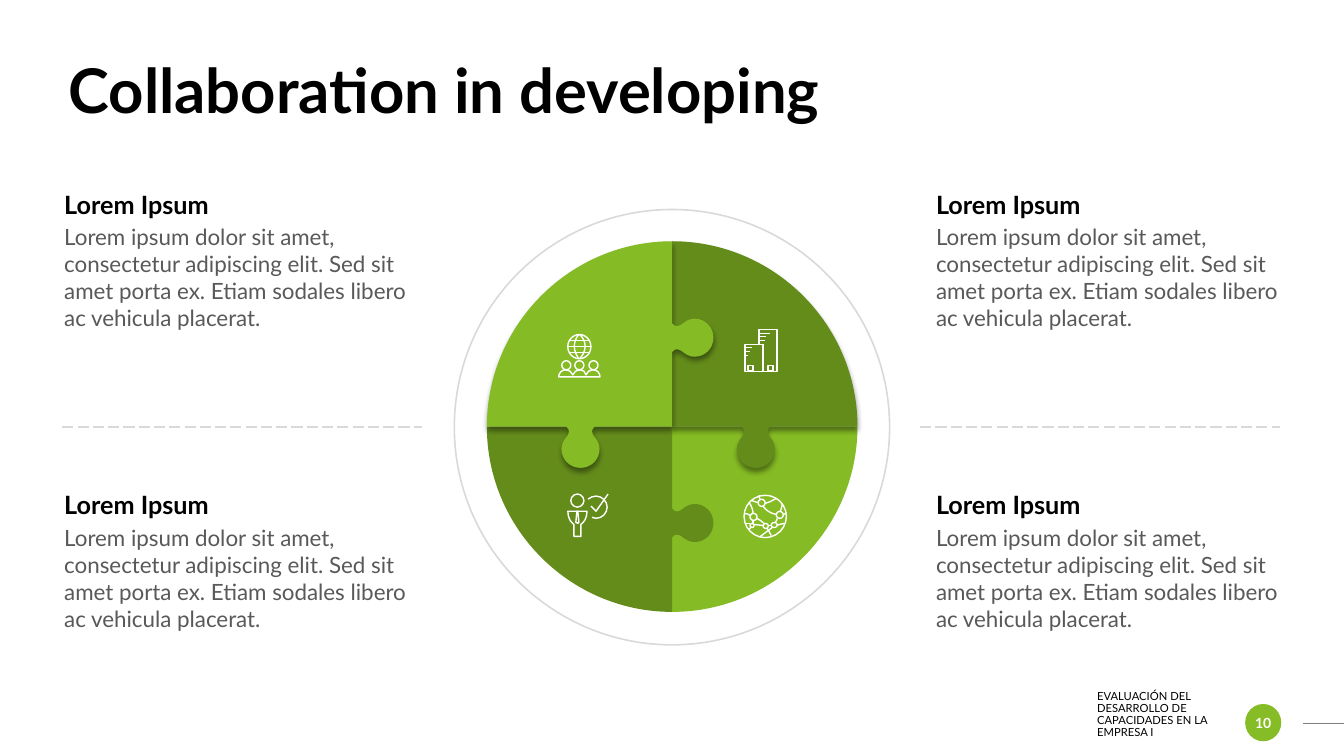
from dataclasses import dataclass
from itertools import product

from lxml.etree import SubElement
from pptx import Presentation
from pptx.dml.color import RGBColor as Rgb
from pptx.enum.dml import MSO_LINE as Dash
from pptx.enum.shapes import MSO_CONNECTOR as Wire, MSO_SHAPE as Kind
from pptx.enum.text import MSO_ANCHOR as Anchor, PP_ALIGN as Align
from pptx.oxml.ns import qn
from pptx.util import Cm, Pt


@dataclass(frozen=True)
class Theme:
    font: str = "Lato"
    ink: str = "000000"
    gray: str = "595959"
    rule: str = "D9D9D9"
    edge: str = "808080"
    white: str = "FFFFFF"
    badge: str = "86BC25"
    lime: str = "85BB24"
    moss: str = "648C1B"
    title: int = 44
    head: int = 18
    body: int = 16
    page: int = 10
    foot: int = 8


THEME = Theme()
HUB = (16.94, 10.75)
RADIUS = 4.67
HEAD = "Lorem Ipsum"
BODY = ("Lorem ipsum dolor sit amet, consectetur adipiscing elit. "
        "Sed sit amet porta ex. Etiam sodales libero ac vehicula placerat.")

# First half of a puzzle knob: along the edge, away from the edge
KNOB = [(-.36, 0), (-.25, .08), (-.3, .18), (-.33, .23), (-.41, .33),
        (-.48, .43), (-.48, .56), (-.48, .83), (-.27, 1.04), (0, 1.04)]

# Icon parts are in hundredths of an inch from the corner given in Cm
PEOPLE = dict(
    at=(14.08, 8.43),
    ovals=[(9, 0, 23, 24), (3, 26, 9, 9), (16, 26, 9, 9), (30, 26, 9, 9)],
    lines=[(11, 18, 31, 18), (11, 6, 31, 6), (9, 12, 32, 12)],
    curves=[
        [(20, 0), (14, 7), (14, 16), (20, 24)],
        [(21, 0), (28, 7), (28, 16), (21, 24)],
        [(34, 35), (31, 35), (28, 37), (27, 40), (27, 37), (24, 35), (21, 35),
         (18, 35), (15, 37), (14, 40), (13, 37), (10, 35), (7, 35),
         (3, 35), (0, 38), (0, 42), (0, 42), (41, 42), (41, 42),
         (41, 38), (38, 35), (34, 35)]])
PERSON = dict(
    at=(14.31, 12.45),
    ovals=[(3, 0, 13, 13)],
    polys=[[(10, 17), (9, 17), (8, 28), (10, 29), (11, 28), (10, 17)],
           [(40, 0), (28, 17), (23, 12)]],
    curves=[
        [(19, 17), (19, 17), (0, 17), (0, 17), (0, 24), (3, 28), (6, 30),
         (6, 30), (6, 42), (6, 42), (6, 42), (13, 42), (13, 42),
         (13, 42), (13, 30), (13, 30), (16, 28), (19, 24), (19, 17)],
        [(20, 5), (23, 3), (25, 2), (28, 2), (34, 2), (39, 7), (39, 13),
         (39, 19), (34, 24), (28, 24), (26, 24), (25, 23), (24, 23)]])
NETWORK = dict(
    at=(18.75, 12.48),
    ovals=[(0, 0, 42, 42), (14, 4, 7, 7), (6, 18, 7, 7), (6, 28, 4, 4),
           (19, 28, 5, 5), (27, 27, 6, 5), (32, 16, 7, 7)],
    lines=[(24, 30, 27, 30), (2, 28, 6, 28), (10, 29, 19, 30)],
    curves=[
        [(16, 4), (15, 3), (15, 2), (15, 0)],
        [(32, 19), (26, 18), (22, 15), (19, 11)],
        [(42, 18), (41, 19), (40, 19), (39, 19)],
        [(28, 32), (24, 35), (20, 38), (16, 41)],
        [(33, 23), (33, 24), (32, 26), (31, 27)],
        [(38, 8), (38, 11), (37, 13), (36, 16)],
        [(40, 28), (38, 28), (35, 29), (32, 30)],
        [(14, 7), (13, 7), (9, 6), (7, 5)],
        [(32, 3), (29, 5), (25, 7), (21, 8)],
        [(23, 33), (24, 35), (26, 37), (27, 40)],
        [(13, 23), (15, 24), (18, 26), (20, 28)],
        [(0, 18), (3, 18), (5, 19), (6, 20)],
        [(7, 31), (7, 32), (6, 33), (5, 34)],
        [(9, 25), (9, 26), (9, 27), (9, 28)],
        [(5, 7), (7, 10), (9, 14), (9, 18)]])
TOWERS = dict(
    at=(18.77, 8.3),
    rects=[(0, 15, 18, 27), (23, 36, 5, 5), (3, 36, 5, 5)],
    polys=[[(32, 42), (18, 42), (18, 15), (14, 15), (14, 0), (32, 0),
            (32, 42)]],
    lines=[(0, 18, 7, 18), (0, 22, 5, 22), (14, 7, 21, 7), (14, 4, 25, 4),
           (14, 11, 20, 11), (0, 26, 3, 26)])


def paint(shape, fill=None, line=None, width=1):
    shape.shadow.inherit = False
    if fill:
        shape.fill.solid()
        shape.fill.fore_color.rgb = Rgb.from_string(fill)
    else:
        shape.fill.background()
    if line:
        shape.line.color.rgb = Rgb.from_string(line)
        shape.line.width = Pt(width)
    else:
        shape.line.fill.background()
    return shape


def form(shapes, kind, box, **look):
    return paint(shapes.add_shape(kind, *map(Cm, box)), **look)


def rule(shapes, ends, color, width=1, dash=None):
    wire = shapes.add_connector(Wire.STRAIGHT, *map(Cm, ends))
    wire.line.color.rgb = Rgb.from_string(color)
    wire.line.width = Pt(width)
    if dash:
        wire.line.dash_style = dash
    SubElement(wire._element.spPr, qn("a:effectLst"))


def trace(shapes, pts, **look):
    """Join points given in Cm; the outline closes if it ends at its start."""
    spots = [(Cm(x), Cm(y)) for x, y in pts]
    pen = shapes.build_freeform(*spots[0])
    pen.add_line_segments(spots[1:], close=pts[0] == pts[-1])
    return paint(pen.convert_to_shape(), **look)


def bend(shape):
    """Turn every three line segments into one cubic curve."""
    legs = list(shape._element.iter(qn("a:lnTo")))
    for first, *rest in zip(legs[::3], legs[1::3], legs[2::3]):
        first.tag = qn("a:cubicBezTo")
        for leg in rest:
            first.append(leg[0])
            leg.getparent().remove(leg)
    return shape


def label(shapes, box, text, size, color=THEME.ink, bold=False, inset=False,
          anchor=Anchor.TOP, align=Align.LEFT, space=1.0):
    frame = shapes.add_textbox(*map(Cm, box)).text_frame
    frame.word_wrap = True
    frame.vertical_anchor = anchor
    if not inset:
        frame.margin_left = frame.margin_right = 0
        frame.margin_top = frame.margin_bottom = 0
    frame.text = text
    para = frame.paragraphs[0]
    para.alignment, para.line_spacing = align, space
    font = para.runs[0].font
    font.name, font.size, font.bold = THEME.font, Pt(size), bold
    font.color.rgb = Rgb.from_string(color)


def shade(shape):
    glow = SubElement(shape._element.spPr.find(qn("a:effectLst")),
                      qn("a:outerShdw"), blurRad=str(Pt(4)), dist=str(Pt(3)),
                      dir="5400000", algn="t", rotWithShape="0")
    tint = SubElement(glow, qn("a:srgbClr"), val=THEME.ink)
    SubElement(tint, qn("a:alpha"), val="40000")


def piece(shapes, sx, sy, color, side=0, down=0, lift=False):
    """Quarter disc; side and down are how far its knobs lie from the hub."""
    knob = KNOB + [(-u, v) for u, v in KNOB[-2::-1]]
    pull = RADIUS * .55
    pts = [(0, sy * RADIUS), (sx * pull, sy * RADIUS),
           (sx * RADIUS, sy * pull), (sx * RADIUS, 0)]

    def go(spot):
        pts.extend((pts[-1], spot, spot))

    def bulge(edge):
        go(edge[0])
        pts.extend(edge[1:])

    if down:
        bulge([(sx * (down - u), v) for u, v in knob])
    go((0, 0))
    if side:
        bulge([(v, sy * (side + u)) for u, v in knob])
    go(pts[0])
    shape = bend(trace(shapes, [(HUB[0] + x, HUB[1] + y) for x, y in pts],
                       fill=color))
    if lift:
        shade(shape)


def icon(shapes, at, ovals=(), rects=(), lines=(), polys=(), curves=()):
    group = shapes.add_group_shape().shapes

    def place(x, y):
        return at[0] + x * 2.54 / 100, at[1] + y * 2.54 / 100

    def draw(pts):
        return trace(group, [place(*p) for p in pts], line=THEME.white)

    for kind, boxes in ((Kind.OVAL, ovals), (Kind.RECTANGLE, rects)):
        for x, y, w, h in boxes:
            size = (w * 2.54 / 100, h * 2.54 / 100)
            form(group, kind, place(x, y) + size, line=THEME.white)
    for x, y, x2, y2 in lines:
        rule(group, place(x, y) + place(x2, y2), THEME.white)
    for pts in polys:
        draw(pts)
    for pts in curves:
        bend(draw(pts))


def main():
    deck = Presentation()
    deck.slide_width, deck.slide_height = Cm(33.87), Cm(19.05)
    shapes = deck.slides.add_slide(deck.slide_layouts[6]).shapes

    form(shapes, Kind.OVAL, (31.38, 17.74, .91, .94), fill=THEME.badge)
    label(shapes, (31.38, 17.99, .91, .43), "10", THEME.page, THEME.white,
          bold=True, anchor=Anchor.MIDDLE, align=Align.CENTER)
    rule(shapes, (33.87, 18.22, 32.84, 18.22), THEME.edge, .5)
    label(shapes, (27.4, 17.8, 3.45, .41),
          "EVALUACIÓN DEL DESARROLLO DE CAPACIDADES EN LA EMPRESA I",
          THEME.foot, inset=True, anchor=Anchor.MIDDLE, space=.9)
    label(shapes, (1.48, 1.12, 30.91, 2.46), "Collaboration in developing",
          THEME.title, bold=True, inset=True, anchor=Anchor.MIDDLE, space=.9)

    for x, y in product((1.62, 23.59), (4.76, 12.34)):
        label(shapes, (x, y + .87, 8.66, 2.74), BODY, THEME.body, THEME.gray)
        label(shapes, (x, y, 8.66, .76), HEAD, THEME.head, bold=True)
    for x in (1.57, 23.19):
        rule(shapes, (x, 10.76, x + 9.07, 10.76), THEME.rule,
             dash=Dash.LONG_DASH)

    form(shapes, Kind.OVAL, (11.45, 5.28, 10.97, 10.97), line=THEME.rule,
         width=1.13)
    piece(shapes, 1, 1, THEME.lime)
    piece(shapes, 1, -1, THEME.moss, down=2.11, lift=True)
    piece(shapes, -1, 1, THEME.moss, side=2.43)
    piece(shapes, -1, -1, THEME.lime, side=2.24, down=2.31, lift=True)
    for parts in (PEOPLE, PERSON, NETWORK, TOWERS):
        icon(shapes, **parts)
    deck.save("out.pptx")


if __name__ == "__main__":
    main()
